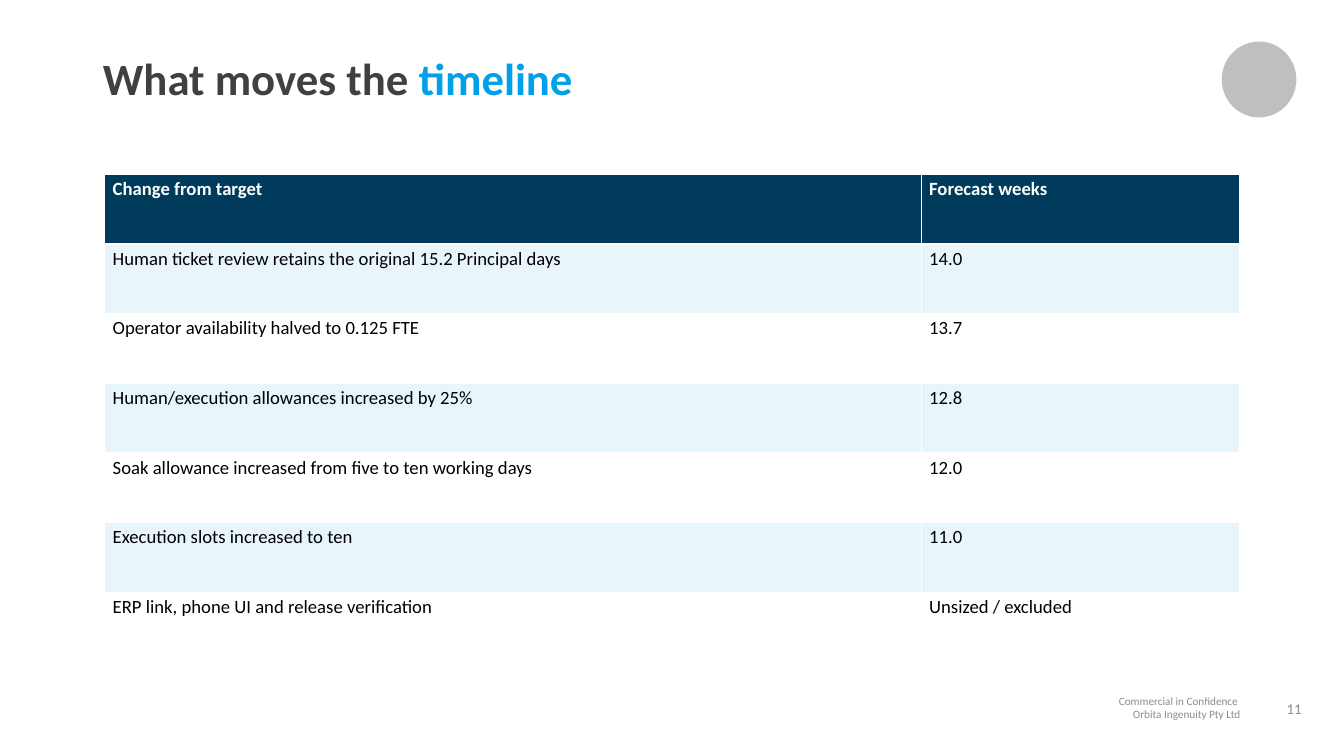
"""Build the slide on what moves the timeline."""
from lxml import etree
from pptx import Presentation
from pptx import util as u
from pptx.dml.color import RGBColor
from pptx.enum import shapes, text
from pptx.oxml.ns import qn

COLOURS = {
    "dark": "404040", "accent": "00A1E8", "navy": "003B5C", "pale": "E8F5FA",
    "white": "FFFFFF", "black": "000000", "grey": "8C8C8C", "badge": "BFBFBF",
}

ROWS = [
    ("Change from target", "Forecast weeks"),
    ("Human ticket review retains the original 15.2 Principal days", "14.0"),
    ("Operator availability halved to 0.125 FTE", "13.7"),
    ("Human/execution allowances increased by 25%", "12.8"),
    ("Soak allowance increased from five to ten working days", "12.0"),
    ("Execution slots increased to ten", "11.0"),
    ("ERP link, phone UI and release verification", "Unsized / excluded"),
]


class SlideBuilder:
    """Hold the style and the current slide."""

    font = "Calibri"

    def __init__(self, deck):
        self.page = deck.slides.add_slide(deck.slide_layouts[5])

    def colour(self, name):
        return RGBColor.from_string(COLOURS[name])

    def span(self, para, words, size, colour, bold=False):
        span = para.add_run()
        span.text = words
        span.font.name = self.font
        span.font.size = u.Pt(size)
        span.font.bold = bold
        span.font.color.rgb = self.colour(colour)

    def frame(self, frame, anchor, across=0, down=0):
        frame.word_wrap = True
        frame.auto_size = text.MSO_AUTO_SIZE.NONE
        frame.vertical_anchor = anchor
        frame.margin_left = frame.margin_right = u.Cm(across)
        frame.margin_top = frame.margin_bottom = u.Cm(down)

    def title(self, spans, left, top, width, height):
        box = self.page.shapes.title
        box.left, box.top, box.width, box.height = map(u.Cm, (left, top, width, height))
        self.frame(box.text_frame, text.MSO_ANCHOR.TOP)
        para = box.text_frame.paragraphs[0]
        para.alignment = text.PP_ALIGN.LEFT
        para.line_spacing = u.Pt(55)
        for words, colour in spans:
            self.span(para, words, 48, colour, bold=True)

    def note(self, lines, size, anchor, left, top, width, height):
        box = self.page.shapes.add_textbox(*map(u.Cm, (left, top, width, height)))
        self.frame(box.text_frame, anchor, 0.38, 0.18)
        for index, words in enumerate(lines):
            para = box.text_frame.add_paragraph() if index else box.text_frame.paragraphs[0]
            para.alignment = text.PP_ALIGN.RIGHT
            self.span(para, words, size, "grey")

    def badge(self, left, top, width, height):
        badge = self.page.shapes.add_shape(
            shapes.MSO_SHAPE.OVAL, *map(u.Cm, (left, top, width, height)))
        badge.shadow.inherit = False
        badge.fill.solid()
        badge.fill.fore_color.rgb = self.colour("badge")
        badge.line.fill.background()

    def borders(self, cell, widths):
        properties = cell._tc.get_or_add_tcPr()
        for side, width in widths.items():
            line = etree.SubElement(properties, qn(f"a:ln{side}"), w=str(u.Pt(width)))
            fill = etree.SubElement(line, qn("a:solidFill"))
            etree.SubElement(fill, qn("a:srgbClr"), val=COLOURS["white"])

    def table(self, rows, left, top, widths, row_height):
        table = self.page.shapes.add_table(
            len(rows), len(widths), u.Cm(left), u.Cm(top),
            u.Cm(sum(widths)), u.Cm(row_height * len(rows))).table
        for column, width in zip(table.columns, widths):
            column.width = u.Cm(width)
        for index, values in enumerate(rows):
            table.rows[index].height = u.Cm(row_height)
            header = index == 0
            fill = "navy" if header else "pale" if index % 2 else "white"
            for cell, words in zip(table.rows[index].cells, values):
                cell.margin_left = cell.margin_right = u.Cm(0.3)
                cell.margin_top = cell.margin_bottom = u.Cm(0.13)
                self.borders(cell, {"L": 1, "R": 1, "T": 3 if index == 1 else 1,
                                    "B": 3 if header else 1})
                cell.fill.solid()
                cell.fill.fore_color.rgb = self.colour(fill)
                self.span(cell.text_frame.paragraphs[0], words, 20,
                          "white" if header else "black", bold=header)


def main():
    deck = Presentation()
    deck.slide_width, deck.slide_height = u.Cm(50.8), u.Cm(28.58)
    slide = SlideBuilder(deck)
    slide.note(["Commercial in Confidence ", "Orbita Ingenuity Pty Ltd"], 12,
               text.MSO_ANCHOR.MIDDLE, 40.18, 26.19, 7.09, 1.12)
    slide.badge(46.18, 1.57, 2.82, 2.87)
    slide.note(["11"], 16, text.MSO_ANCHOR.BOTTOM, 45.64, 26.19, 3.94, 1.12)
    slide.title([("What moves the ", "dark"), ("timeline", "accent")],
                3.89, 2.01, 41.91, 2.51)
    slide.table(ROWS, 3.96, 6.6, (30.86, 12.01), 2.63)
    deck.save("out.pptx")


if __name__ == "__main__":
    main()
